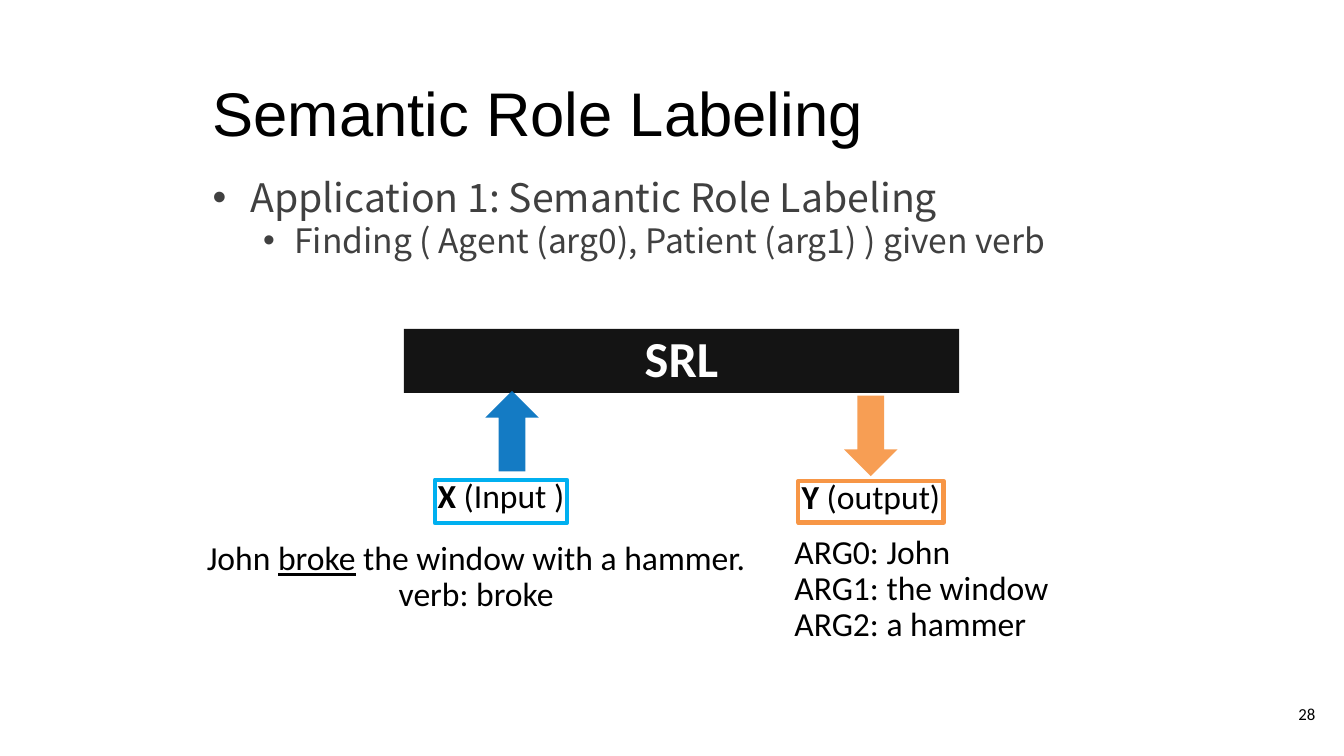
from lxml import etree
from pptx import Presentation
from pptx import util as u
from pptx.dml.color import RGBColor
from pptx.enum import shapes, text
from pptx.oxml.ns import qn

COLORS = {
    "black": "000000", "white": "FFFFFF", "gray": "404040",
    "blue": "0070C0", "orange": "F79646", "cyan": "00B0F0",
}
LEFT, CENTER, RIGHT = text.PP_ALIGN.LEFT, text.PP_ALIGN.CENTER, text.PP_ALIGN.RIGHT
TOP, MIDDLE = text.MSO_ANCHOR.TOP, text.MSO_ANCHOR.MIDDLE


def add_block(s, box, preset=None, fill=None, line=None):
    box = [u.Cm(v) for v in box]
    if preset is None:
        return s.shapes.add_textbox(*box)
    sp = s.shapes.add_shape(preset, *box)
    sp.shadow.inherit = False
    if fill:
        sp.fill.solid()
        sp.fill.fore_color.rgb = RGBColor.from_string(COLORS[fill])
        color = sp.fill._xPr.find(qn("a:solidFill"))[0]
        etree.SubElement(color, qn("a:alpha"), val="92000")
    else:
        sp.fill.background()
    if line:
        sp.line.color.rgb = RGBColor.from_string(COLORS[line])
        sp.line.width = u.Pt(3)
    else:
        sp.line.fill.background()
    return sp


def write(sp, paragraphs, size, font="Calibri", color="black", align=LEFT,
          anchor=TOP, inset=0, wrap=False):
    tf = sp.text_frame
    tf.word_wrap = wrap
    tf.vertical_anchor = anchor
    tf.margin_left = tf.margin_right = tf.margin_top = tf.margin_bottom = u.Cm(inset)
    for i, (spacing, runs) in enumerate(paragraphs):
        p = tf.paragraphs[0] if i == 0 else tf.add_paragraph()
        p.alignment = align
        p.line_spacing = spacing
        for words, style in runs:
            r = p.add_run()
            r.text = words
            r.font.size = u.Pt(size)
            r.font.name = font
            r.font.color.rgb = RGBColor.from_string(COLORS[color])
            r.font.bold = style == "bold"
            r.font.underline = style == "underline"
    return tf


prs = Presentation()
prs.slide_width, prs.slide_height = u.Cm(33.87), u.Cm(19.05)
s = prs.slides.add_slide(prs.slide_layouts[6])
RECT, ARROW = shapes.MSO_SHAPE.RECTANGLE, shapes.MSO_SHAPE.RIGHT_ARROW

body = add_block(s, (5.11, 4.11, 23.67, 12.65))
tf = write(body, [
    (1.0, [("Application 1: Semantic Role Labeling", None)]),
    (1.0, [("Finding ( Agent (arg0), Patient (arg1) ) given verb", None)]),
], 28, "Noto Sans CJK KR", "gray", inset=0.25, wrap=True)
outline = [(0, 28, 0.95, -0.95), (1, 24, 2.06, -0.79)]
for p, (level, size, margin, indent) in zip(tf.paragraphs, outline):
    p.level = level
    p.runs[0].font.size = u.Pt(size)
    pPr = p._p.get_or_add_pPr()
    pPr.set("marL", str(u.Cm(margin)))
    pPr.set("indent", str(u.Cm(indent)))
    etree.SubElement(pPr, qn("a:buFont"), typeface="Arial")
    etree.SubElement(pPr, qn("a:buChar"), char="•")

number = add_block(s, (31.37, 17.27, 2.03, 1.45))
write(number, [(1.0, [("28", None)])], 12, align=RIGHT, anchor=MIDDLE,
      inset=0.25, wrap=True)

title = add_block(s, (5.11, 1.65, 24.54, 2.13))
write(title, [(1.0, [("Semantic Role Labeling", None)])], 44, "Arial",
      inset=0.25, wrap=True)

srl = add_block(s, (10.18, 8.29, 13.99, 1.61), RECT, fill="black")
write(srl, [(0.9, [("SRL", "bold")])], 36, color="white", align=CENTER,
      anchor=MIDDLE, inset=0.1, wrap=True)

for left, top, angle, color in [(11.89, 10.19, 270, "blue"),
                                (20.93, 10.31, 90, "orange")]:
    arrow = add_block(s, (left, top, 2.03, 1.35), ARROW, fill=color)
    arrow.rotation = angle

for box, color, letter, label in [
    ((20.12, 12.12, 3.66, 1.05), "orange", "Y", " (output)"),
    ((10.96, 12.09, 3.33, 1.09), "cyan", "X ", "(Input )"),
]:
    sp = add_block(s, box, RECT, line=color)
    write(sp, [(0.9, [(letter, "bold"), (label, None)])], 24, align=CENTER)

roles = add_block(s, (20.02, 13.49, 7, 3.28))
write(roles, [(0.9, [(role, None)]) for role in
              ("ARG0: John", "ARG1: the window", "ARG2: a hammer")], 24, wrap=True)

sentence = add_block(s, (4.8, 13.54, 14.4, 1.88))
write(sentence, [
    (1.0, [("John ", None), ("broke", "underline"),
           (" the window with a hammer.", None)]),
    (0.9, [("verb: broke", None)]),
], 24, align=CENTER, wrap=True)

prs.save("out.pptx")
